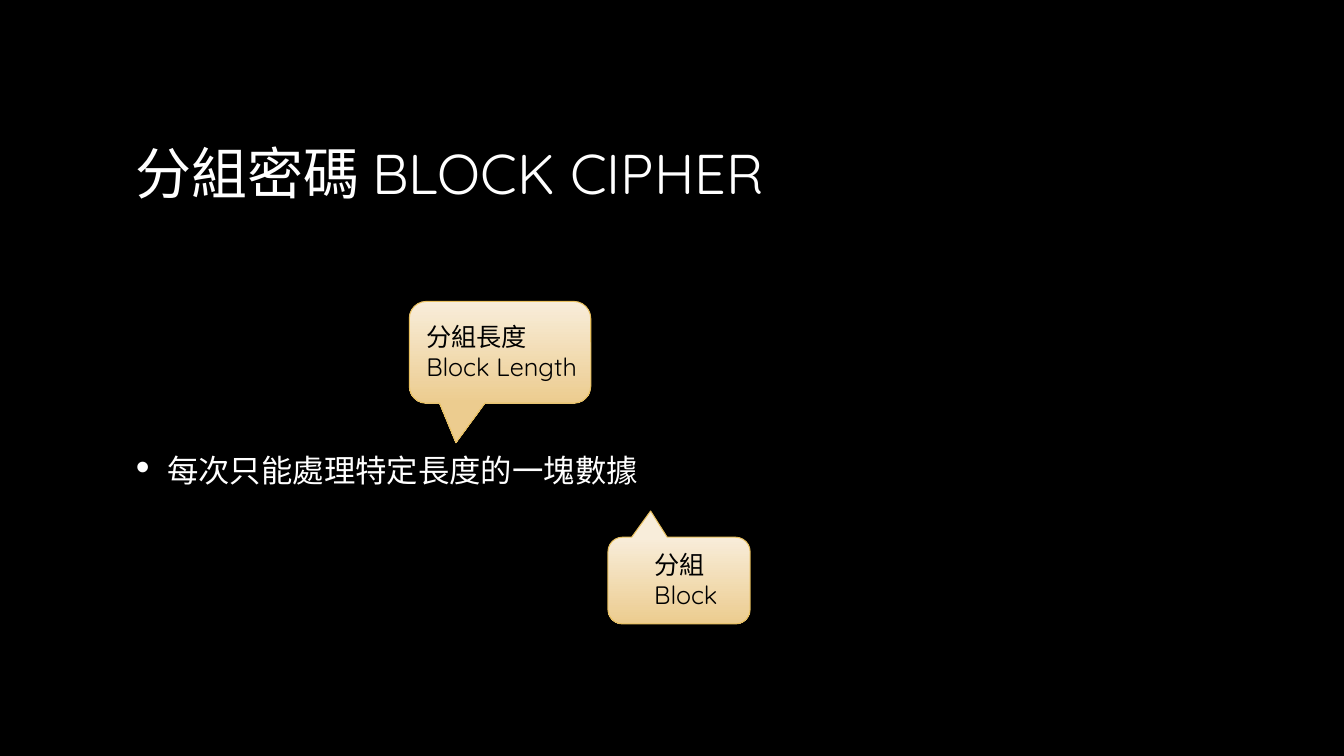
"""Build the block cipher slide with two callouts."""
import pptx
import pptx.dml.color
import pptx.enum.shapes
import pptx.enum.text
import pptx.util
from lxml import etree

Inches = pptx.util.Inches
Pt = pptx.util.Pt
RGBColor = pptx.dml.color.RGBColor
ANCHOR = pptx.enum.text.MSO_ANCHOR
SIZE = pptx.enum.text.MSO_AUTO_SIZE
WHITE = RGBColor(0xFF, 0xFF, 0xFF)
BLACK = RGBColor(0x00, 0x00, 0x00)
CREAM = RGBColor(0xF8, 0xED, 0xDA)
SAND = RGBColor(0xEC, 0xCC, 0x8F)
GOLD = RGBColor(0xE7, 0xBF, 0x5F)


def add_text(shapes, place, lines, size, color, frame_format):
    box = shapes.add_textbox(*map(Inches, place))
    frame = box.text_frame
    for key, value in frame_format.items():
        setattr(frame, key, value)
    frame.text = "\n".join(lines)
    for para in frame.paragraphs:
        font = para.runs[0].font
        for key, value in {"name": "Quicksand", "size": Pt(size)}.items():
            setattr(font, key, value)
        font.color.rgb = color
    return frame.paragraphs[0]


deck = pptx.Presentation()
deck.slide_width = Inches(13.33)
deck.slide_height = Inches(7.5)
slide = deck.slides.add_slide(deck.slide_layouts[6])
slide.background.fill.solid()
slide.background.fill.fore_color.rgb = BLACK

middle = {"word_wrap": True, "vertical_anchor": ANCHOR.MIDDLE}
grow = {"word_wrap": True, "auto_size": SIZE.SHAPE_TO_FIT_TEXT}

add_text(slide.shapes, (1.25, 0.67, 10.83, 2.08),
         ["分組密碼 BLOCK CIPHER"], 40, WHITE, middle)

point = add_text(slide.shapes, (1.25, 2.92, 10.83, 3.42),
                 ["每次只能處理特定長度的一塊數據"], 28, WHITE, middle)
point.space_after = Pt(6)
props = point._p.get_or_add_pPr()
props.set("marL", str(Inches(0.31)))
props.set("indent", str(-Inches(0.31)))
space = "{http://schemas.openxmlformats.org/drawingml/2006/main}"
etree.SubElement(props, space + "buFont", typeface="Arial")
etree.SubElement(props, space + "buChar", char="•")
point.runs[0].font._element.set("cap", "small")

callouts = [
    ((4.06, 2.99, 1.8, 1.01), (-0.243, 0.889, 0.167),
     (4.13, 3.14, 2.72, 0.71), ["分組長度", "Block Length"]),
    ((6.03, 5.33, 1.41, 0.86), (-0.2, -0.803, 0.167),
     (6.39, 5.4, 1.02, 0.71), ["分組", "Block"]),
]
for place, tip, text_place, lines in callouts:
    group = slide.shapes.add_group_shape()
    bubble = group.shapes.add_shape(
        pptx.enum.shapes.MSO_SHAPE.ROUNDED_RECTANGULAR_CALLOUT,
        *map(Inches, place))
    bubble.shadow.inherit = False
    for index, value in enumerate(tip):
        bubble.adjustments[index] = value
    bubble.fill.gradient()
    bubble.fill.gradient_angle = 270
    for stop, color in zip(bubble.fill.gradient_stops, (CREAM, SAND)):
        stop.color.rgb = color
    bubble.line.color.rgb = GOLD
    bubble.line.width = Pt(0.75)
    add_text(group.shapes, text_place, lines, 18, BLACK, grow)

deck.save("out.pptx")
